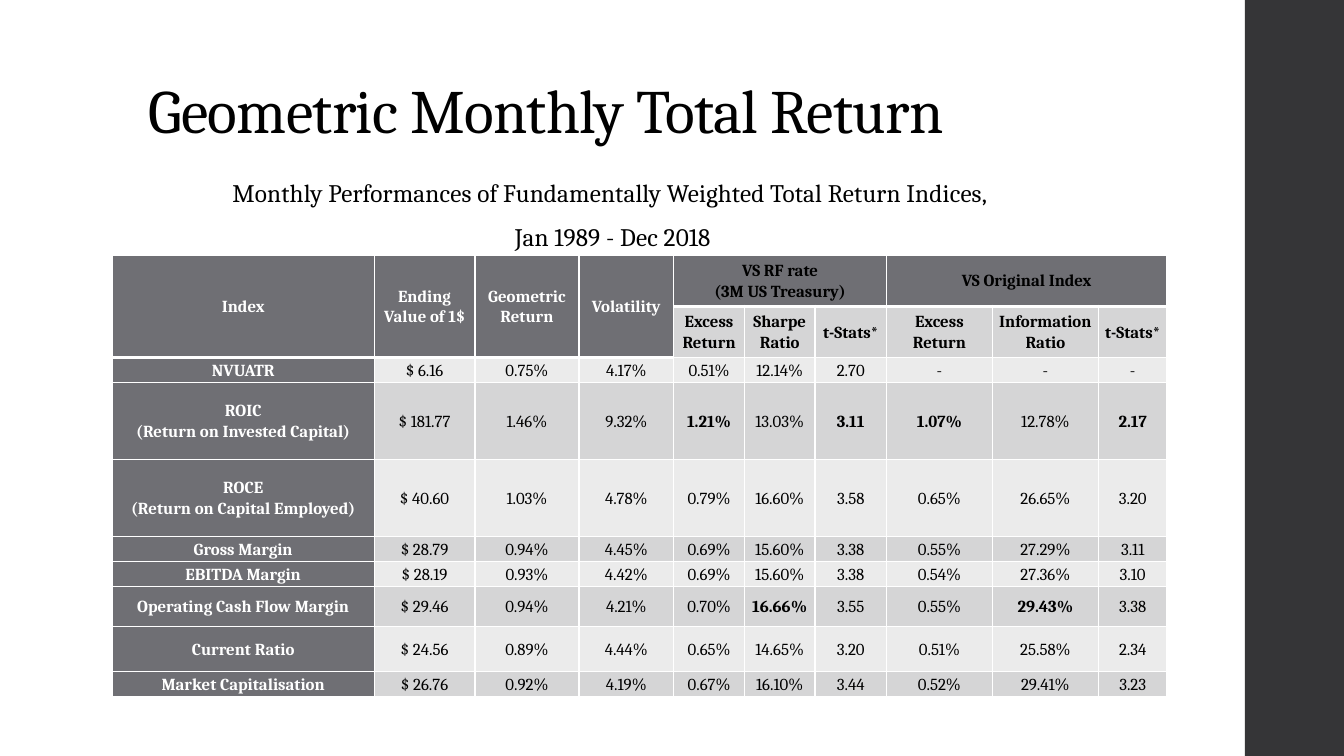
import pptx
import pptx.util
import pptx.dml.color
import pptx.enum.shapes
import pptx.enum.text
import pptx.oxml
import pptx.oxml.ns
from pptx.util import Cm

FONT = "Cambria"
BLACK, WHITE = "000000", "FFFFFF"
BAR, HEAD, DARK, PALE = "353537", "6F6F74", "D5D5D6", "EBEBEB"

WIDTHS = [6.6, 2.54, 2.62, 2.39, 1.78, 1.78, 1.8, 2.67, 2.67, 1.73]
HEIGHTS = [1.29, 1.29, 0.63, 1.94, 1.94, 0.63, 0.63, 1.01, 1.13, 0.63]
ROWS = [
    ["Index", "Ending Value of 1$", "Geometric\nReturn", "Volatility",
     "VS RF rate\n(3M US Treasury)", "", "", "VS Original Index", "", ""],
    ["", "", "", "", "Excess Return", "Sharpe Ratio", "t-Stats*",
     "Excess Return", "Information Ratio", "t-Stats*"],
    ["NVUATR", "$ 6.16", "0.75%", "4.17%", "0.51%", "12.14%", "2.70",
     "-", "-", "-"],
    ["ROIC\n(Return on Invested Capital)", "$ 181.77", "1.46%", "9.32%",
     "1.21%", "13.03%", "3.11", "1.07%", "12.78%", "2.17"],
    ["ROCE\n(Return on Capital Employed)", "$ 40.60", "1.03%", "4.78%",
     "0.79%", "16.60%", "3.58", "0.65%", "26.65%", "3.20"],
    ["Gross Margin", "$ 28.79", "0.94%", "4.45%", "0.69%", "15.60%", "3.38",
     "0.55%", "27.29%", "3.11"],
    ["EBITDA Margin", "$ 28.19", "0.93%", "4.42%", "0.69%", "15.60%", "3.38",
     "0.54%", "27.36%", "3.10"],
    ["Operating Cash Flow Margin", "$ 29.46", "0.94%", "4.21%", "0.70%",
     "16.66%", "3.55", "0.55%", "29.43%", "3.38"],
    ["Current Ratio", "$ 24.56", "0.89%", "4.44%", "0.65%", "14.65%", "3.20",
     "0.51%", "25.58%", "2.34"],
    ["Market Capitalisation", "$ 26.76", "0.92%", "4.19%", "0.67%", "16.10%",
     "3.44", "0.52%", "29.41%", "3.23"],
]
BEST = {(3, 4), (3, 6), (3, 7), (3, 9), (7, 5), (7, 8)}
# first and last cell of each merged header
SPANS = [((0, col), (1, col)) for col in range(4)]
SPANS += [((0, 4), (0, 6)), ((0, 7), (0, 9))]


def paint(item, color):
    """Give a solid colour to a fill or a font."""
    if hasattr(item, "solid"):
        item.solid()
        item.fore_color.rgb = pptx.dml.color.RGBColor.from_string(color)
    else:
        item.color.rgb = pptx.dml.color.RGBColor.from_string(color)


def write(frame, text, size=12, color=BLACK, bold=False, align="CENTER",
          lead=None, after=0, track=0):
    """Fill a text frame, one paragraph for each line of text."""
    for num, line in enumerate(text.split("\n")):
        para = frame.add_paragraph() if num else frame.paragraphs[0]
        para.alignment = getattr(pptx.enum.text.PP_ALIGN, align)
        para.space_before = pptx.util.Pt(0)
        para.space_after = pptx.util.Pt(after)
        if lead:
            para.line_spacing = lead
        run = para.add_run()
        run.text = line
        run.font.name = FONT
        run.font.size = pptx.util.Pt(size)
        run.font.bold = bold
        paint(run.font, color)
        if track:
            run.font._element.set("spc", str(round(track * 100)))


def edge(cell, base):
    """Draw white cell borders, with the bottom one base points wide."""
    props = cell._tc.get_or_add_tcPr()
    sides = [("L", 1), ("R", 1), ("T", 1), ("B", base)]
    for num, (side, width) in enumerate(sides):
        props.insert(num, pptx.oxml.parse_xml(
            f'<a:ln{side} {pptx.oxml.ns.nsdecls("a")} w="{width * 12700}">'
            f'<a:solidFill><a:srgbClr val="{WHITE}"/></a:solidFill>'
            f'</a:ln{side}>'))


def shade(row, col):
    if row == 0 or col == 0 or (row == 1 and col < 4):
        return HEAD
    return DARK if row % 2 else PALE


def add_bar(slide):
    bar = slide.shapes.add_shape(
        pptx.enum.shapes.MSO_SHAPE.RECTANGLE,
        Cm(31.37), Cm(0), Cm(2.5), Cm(19.05))
    bar.shadow.inherit = False
    paint(bar.fill, BAR)
    bar.line.fill.background()


def set_title(slide, text):
    title = slide.shapes.title
    title.left, title.top = Cm(3.5), Cm(1.02)
    title.width, title.height = Cm(26.92), Cm(3.68)
    frame = title.text_frame
    frame.auto_size = pptx.enum.text.MSO_AUTO_SIZE.NONE
    frame.vertical_anchor = pptx.enum.text.MSO_ANCHOR.MIDDLE
    write(frame, text, size=44, align="LEFT", lead=0.9, track=-0.5)


def add_label(slide, text):
    box = slide.shapes.add_textbox(Cm(0.46), Cm(4.34), Cm(29.97), Cm(2.16))
    box.text_frame.word_wrap = True
    write(box.text_frame, text, size=18, after=10, track=0.1)


def add_grid(slide):
    grid = slide.shapes.add_table(
        len(ROWS), len(WIDTHS), Cm(2.83), Cm(6.43),
        Cm(sum(WIDTHS)), Cm(sum(HEIGHTS))).table
    grid.horz_banding = False
    for col, width in zip(grid.columns, WIDTHS):
        col.width = Cm(width)
    for row, height in zip(grid.rows, HEIGHTS):
        row.height = Cm(height)
    for first, last in SPANS:
        grid.cell(*first).merge(grid.cell(*last))
    for row, texts in enumerate(ROWS):
        for col, text in enumerate(texts):
            cell = grid.cell(row, col)
            cell.margin_left = cell.margin_right = Cm(0.1)
            cell.margin_top = cell.margin_bottom = Cm(0)
            cell.vertical_anchor = pptx.enum.text.MSO_ANCHOR.MIDDLE
            paint(cell.fill, shade(row, col))
            edge(cell, 3 if row == 0 or (row == 1 and col < 4) else 1)
            if text:
                light = col == 0 or (row == 0 and col < 4)
                bold = row < 2 or col == 0 or (row, col) in BEST
                write(cell.text_frame, text, bold=bold, lead=1.07,
                      color=WHITE if light else BLACK)


def main():
    deck = pptx.Presentation()
    deck.slide_width, deck.slide_height = Cm(33.87), Cm(19.05)
    slide = deck.slides.add_slide(deck.slide_layouts[5])
    paint(slide.background.fill, WHITE)
    add_bar(slide)
    add_grid(slide)
    set_title(slide, "Geometric Monthly Total Return")
    add_label(slide, "Monthly Performances of Fundamentally Weighted "
                     "Total Return Indices, \nJan 1989 - Dec 2018")
    deck.save("out.pptx")


if __name__ == "__main__":
    main()
